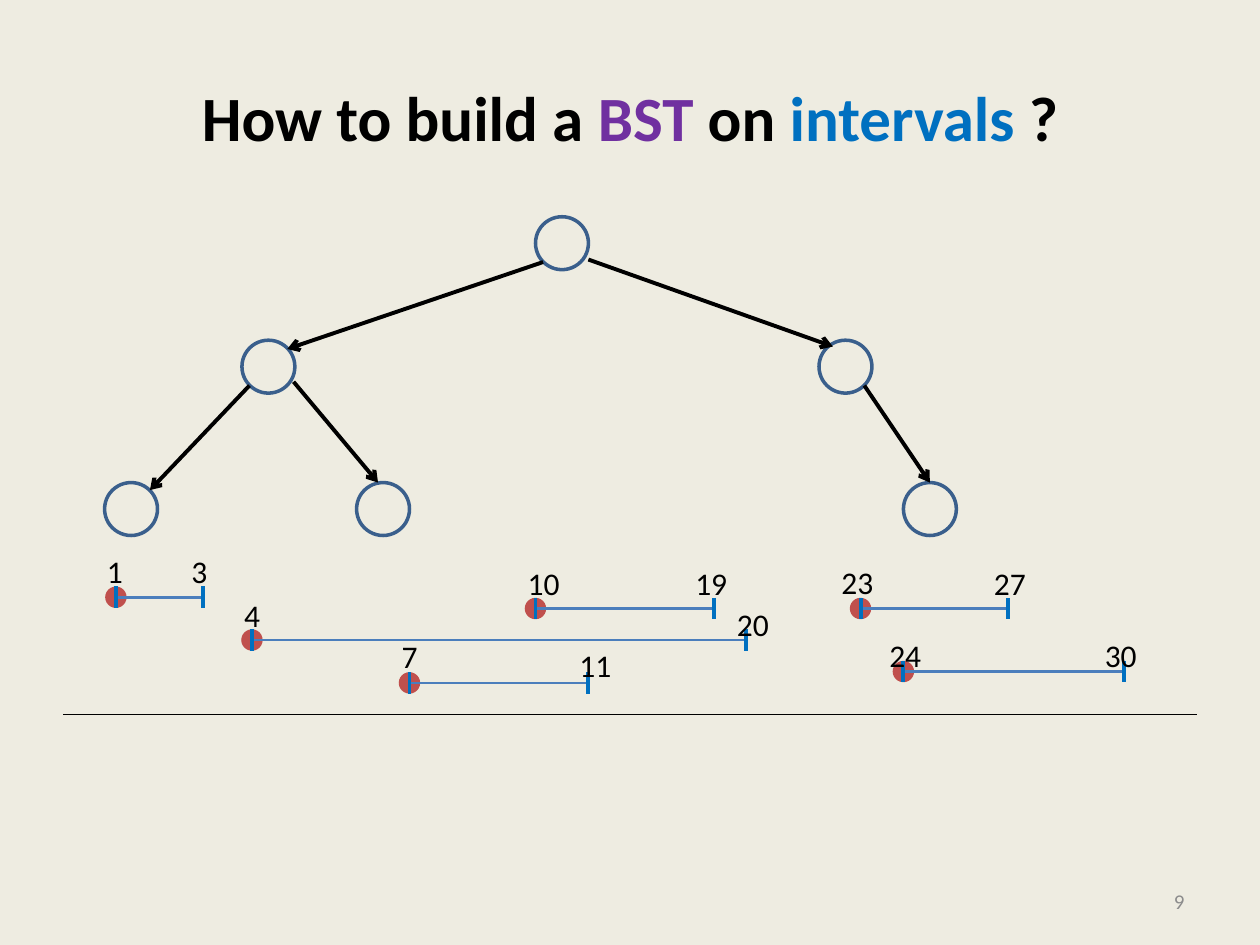
from pptx import Presentation
from pptx.dml.color import RGBColor
from pptx.enum.shapes import MSO_CONNECTOR, MSO_SHAPE
from pptx.enum.text import MSO_ANCHOR, MSO_AUTO_SIZE, PP_ALIGN
from pptx.oxml.xmlchemy import OxmlElement
from pptx.util import Inches, Pt

COLORS = {
    "background": "EEECE1", "text": "000000", "bst": "7030A0", "blue": "0070C0",
    "node": "3A5F8C", "dot": "C0504D", "bar": "4B7EBC", "number": "8C8C8C",
}
NODE_SIZE = 0.42
DOT_SIZE = 0.17
NODES = [(0.83, 3.83), (2.83, 3.83), (7.17, 3.83), (6.5, 2.7), (1.92, 2.7), (4.25, 1.72)]
EDGES = [
    ((4.31, 2.08), (2.28, 2.77)), ((4.67, 2.06), (6.61, 2.75)),
    ((1.98, 3.06), (1.19, 3.89)), ((2.33, 3.03), (3, 3.83)),
    ((6.86, 3.06), (7.38, 3.83)),
]
# Start x, end x, y, then the text, left and top of the two labels
INTERVALS = [
    (0.92, 1.61, 4.74, ("1", 0.75, 4.33), ("3", 1.42, 4.33)),
    (4.25, 5.67, 4.83, ("10", 4.09, 4.43), ("19", 5.42, 4.43)),
    (6.83, 8, 4.83, ("23", 6.58, 4.42), ("27", 7.79, 4.43)),
    (7.17, 8.92, 5.33, ("24", 6.96, 5), ("30", 8.67, 5)),
    (3.25, 4.67, 5.42, ("7", 3.09, 5.01), ("11", 4.5, 5.08)),
    (2, 5.92, 5.08, ("4", 1.84, 4.68), ("20", 5.75, 4.75)),
]


def color(name):
    return RGBColor.from_string(COLORS[name])


def set_font(font, size, color_name):
    font.name = "Calibri"
    font.size = Pt(size)
    font.color.rgb = color(color_name)


def add_line(shapes, start, end, color_name, width, arrow=False):
    line = shapes.add_connector(
        MSO_CONNECTOR.STRAIGHT, *(Inches(value) for value in (*start, *end)))
    line.line.color.rgb = color(color_name)
    line.line.width = Pt(width)
    if arrow:
        tail = OxmlElement("a:tailEnd")
        tail.set("type", "arrow")
        line.line._get_or_add_ln().append(tail)
    line._element.spPr.append(OxmlElement("a:effectLst"))


def add_circle(shapes, left, top, size, fill, outline=None):
    circle = shapes.add_shape(
        MSO_SHAPE.OVAL, Inches(left), Inches(top), Inches(size), Inches(size))
    circle.shadow.inherit = False
    circle.fill.solid()
    circle.fill.fore_color.rgb = color(fill)
    if outline:
        circle.line.color.rgb = color(outline)
        circle.line.width = Pt(2)
    else:
        circle.line.fill.background()


def add_label(shapes, text, left, top):
    width = 0.2 + 0.13 * len(text)
    box = shapes.add_textbox(Inches(left), Inches(top), Inches(width), Inches(0.4))
    box.text_frame.word_wrap = False
    box.text_frame.auto_size = MSO_AUTO_SIZE.SHAPE_TO_FIT_TEXT
    para = box.text_frame.paragraphs[0]
    para.text = text
    set_font(para.font, 18, "text")


def fill_title(title, left, top, width, height):
    title.left, title.top = Inches(left), Inches(top)
    title.width, title.height = Inches(width), Inches(height)
    title.text_frame.vertical_anchor = MSO_ANCHOR.MIDDLE
    para = title.text_frame.paragraphs[0]
    para.alignment = PP_ALIGN.CENTER
    para.font.name = "Calibri"
    para.font.size = Pt(36)
    para.font.bold = True
    for text, color_name in (("How to build a ", "text"), ("BST", "bst"), (" on ", "text"),
                             ("intervals", "blue"), (" ?", "text")):
        span = para.add_run()
        span.text = text
        span.font.color.rgb = color(color_name)


def add_page_number(shapes, number, left, top, width, height):
    box = shapes.add_textbox(Inches(left), Inches(top), Inches(width), Inches(height))
    box.text_frame.word_wrap = True
    box.text_frame.vertical_anchor = MSO_ANCHOR.MIDDLE
    para = box.text_frame.paragraphs[0]
    para.text = str(number)
    para.alignment = PP_ALIGN.RIGHT
    set_font(para.font, 12, "number")


def add_tree(shapes):
    for left, top in NODES:
        add_circle(shapes, left, top, NODE_SIZE, "background", "node")
    for start, end in EDGES:
        add_line(shapes, start, end, "text", 2.25, arrow=True)


def add_interval(shapes, start, end, y, *labels):
    """Draw a bar with a tick at each end and a dot that marks its start."""
    half = DOT_SIZE / 2
    add_circle(shapes, start - half, y - half, DOT_SIZE, "dot")
    add_line(shapes, (start, y), (end, y), "bar", 1.5)
    for x in (end, start):
        add_line(shapes, (x, y - half), (x, y + half), "blue", 2.25)
    for label in labels:
        add_label(shapes, *label)


def main():
    deck = Presentation()
    deck.slide_width, deck.slide_height = Inches(10), Inches(7.5)
    page = deck.slides.add_slide(deck.slide_layouts[5])
    page.background.fill.solid()
    page.background.fill.fore_color.rgb = color("background")

    fill_title(page.shapes.title, 0.5, 0.3, 9, 1.25)
    add_page_number(page.shapes, 9, 7.17, 6.95, 2.33, 0.4)
    add_line(page.shapes, (0.5, 5.67), (9.5, 5.67), "text", 0.75)
    add_tree(page.shapes.add_group_shape().shapes)
    for interval in INTERVALS:
        add_interval(page.shapes.add_group_shape().shapes, *interval)
    deck.save("out.pptx")


if __name__ == "__main__":
    main()
